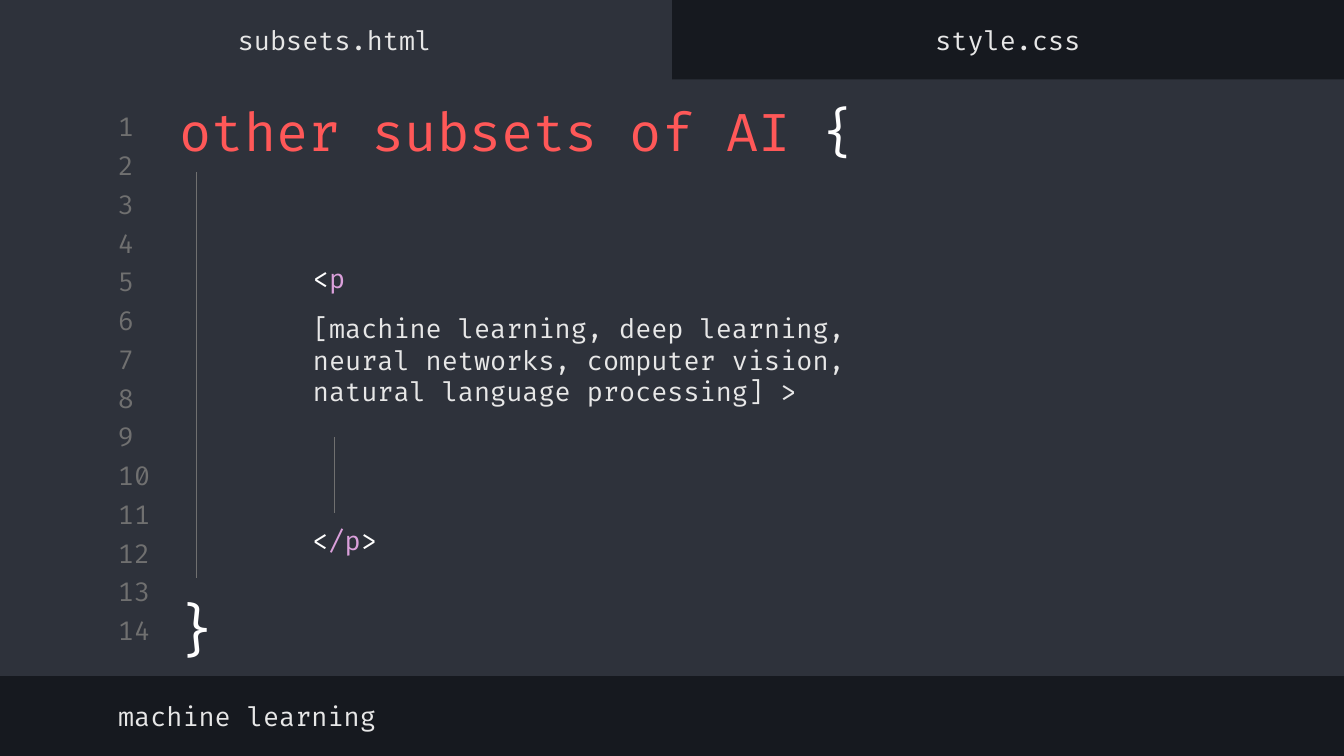
"""Build the code-editor slide about other subsets of AI."""
from dataclasses import dataclass

from lxml.etree import SubElement
from pptx import Presentation
from pptx.dml.color import RGBColor as RGB
from pptx.enum.shapes import MSO_CONNECTOR as Connector, MSO_SHAPE as Shape
from pptx.enum.text import MSO_ANCHOR as Anchor, PP_ALIGN as Align
from pptx.oxml.ns import qn
from pptx.util import Inches, Pt


@dataclass(frozen=True)
class Theme:
    font: str = "Fira Code"
    dark: RGB = RGB.from_string("16191F")
    panel: RGB = RGB.from_string("2E323B")
    grey: RGB = RGB.from_string("707070")
    light: RGB = RGB.from_string("E7E7E7")
    white: RGB = RGB.from_string("FFFFFF")
    red: RGB = RGB.from_string("FF5858")
    pink: RGB = RGB.from_string("DBA0DB")
    code: int = 14
    title: int = 28
    brace: int = 30


theme = Theme()
deck = Presentation()
deck.slide_width = Inches(10)
deck.slide_height = Inches(10 * 9 / 16)
slide = deck.slides.add_slide(deck.slide_layouts[6])
slide.background.fill.solid()
slide.background.fill.fore_color.rgb = theme.dark


def add_code(place, lines, size=theme.code, align=Align.LEFT, anchor=Anchor.MIDDLE):
    """Add a text box whose lines are lists of (text, colour) pieces."""
    frame = slide.shapes.add_textbox(*map(Inches, place)).text_frame
    frame.word_wrap = True
    frame.vertical_anchor = anchor
    frame.margin_left = frame.margin_right = Inches(0.1)
    frame.margin_top = frame.margin_bottom = Inches(0.1)
    for index, pieces in enumerate(lines):
        line = frame.add_paragraph() if index else frame.paragraphs[0]
        line.alignment = align
        for text, colour in pieces:
            piece = line.add_run()
            piece.text = text
            piece.font.name = theme.font
            piece.font.size = Pt(size)
            piece.font.color.rgb = colour
    return frame


for place in [(0, 0.59, 10, 4.44), (0, 0, 5, 0.65)]:
    panel = slide.shapes.add_shape(Shape.RECTANGLE, *map(Inches, place))
    panel.shadow.inherit = False
    panel.fill.solid()
    panel.fill.fore_color.rgb = theme.panel
    panel.line.fill.background()

line_count = 14
first_top, last_top = 0.82, 4.57
line_pitch = (last_top - first_top) / (line_count - 1)
for index in range(line_count):
    add_code((0.78, first_top + index * line_pitch, 0.47, 0.24),
             [[(str(index + 1), theme.grey)]])

add_code((1.24, 0.68, 5.32, 0.58),
         [[("other subsets of AI ", theme.red), ("{", theme.white)]], theme.title)

subsets = add_code((1.74, 1.72, 6.06, 1.54), [
    [("<", theme.white), ("p", theme.pink)],
    [("[machine learning, deep learning, neural networks, computer vision, "
      "natural language processing] >", theme.light)],
])
subsets.margin_right = Inches(1.2)
for line in subsets.paragraphs:
    line.space_before = Pt(10)
    indent = line._p.get_or_add_pPr()
    indent.set("marL", str(Inches(0.49)))
    indent.set("indent", "0")

add_code((1.19, 4.32, 0.55, 0.71), [[("}", theme.white)]],
         theme.brace, Align.CENTER, Anchor.TOP)

for x, top, bottom in [(1.46, 1.28, 4.3), (2.49, 3.25, 3.82)]:
    guide = slide.shapes.add_connector(
        Connector.STRAIGHT, Inches(x), Inches(top), Inches(x), Inches(bottom))
    guide.line.color.rgb = theme.grey
    guide.line.width = Pt(0.75)
    SubElement(guide._element.spPr, qn("a:effectLst"))

add_code((2.2, 3.8, 0.73, 0.44),
         [[("<", theme.white), ("/p", theme.pink), (">", theme.white)]],
         align=Align.CENTER, anchor=Anchor.TOP)

for label, place, align in [
    ("machine learning", (0.78, 5.13, 5.32, 0.39), Align.LEFT),
    ("subsets.html", (-0.01, 0.1, 5, 0.39), Align.CENTER),
    ("style.css", (5, 0.1, 5, 0.39), Align.CENTER),
]:
    add_code(place, [[(label, theme.light)]], align=align)

deck.save("out.pptx")
